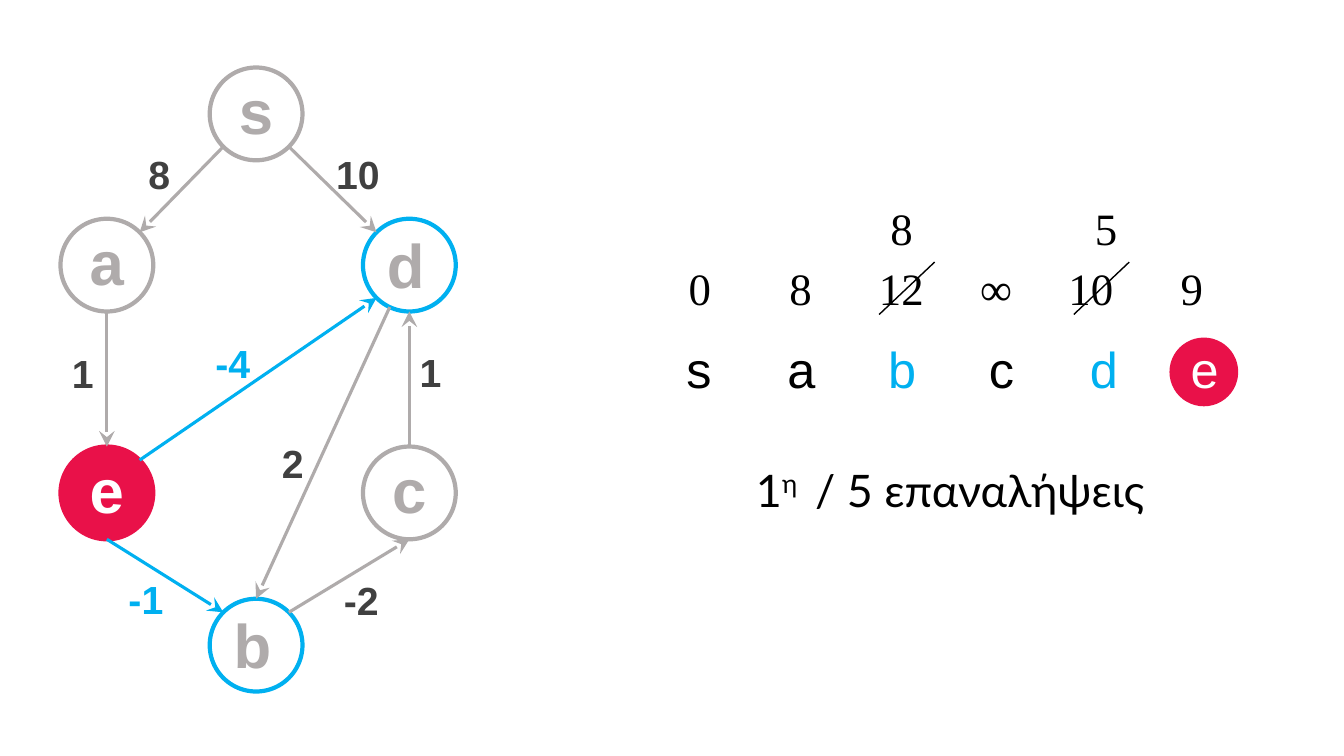
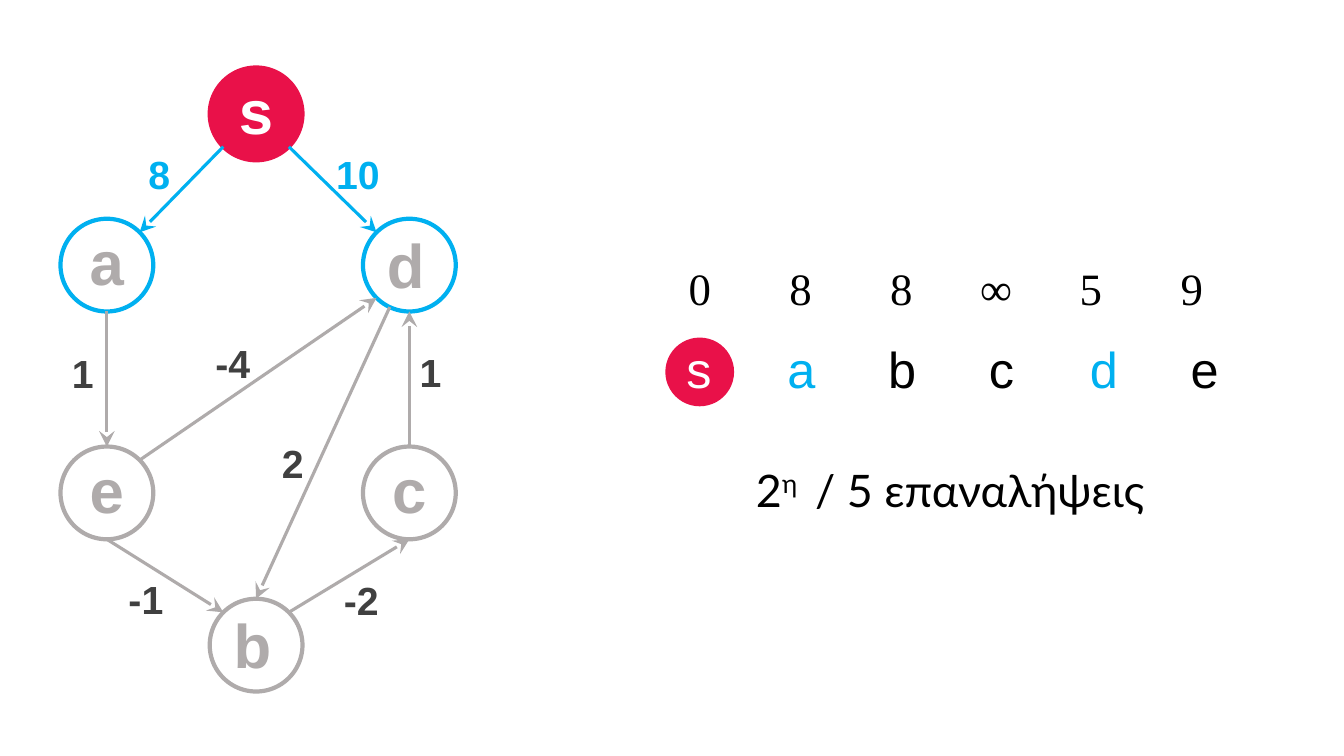
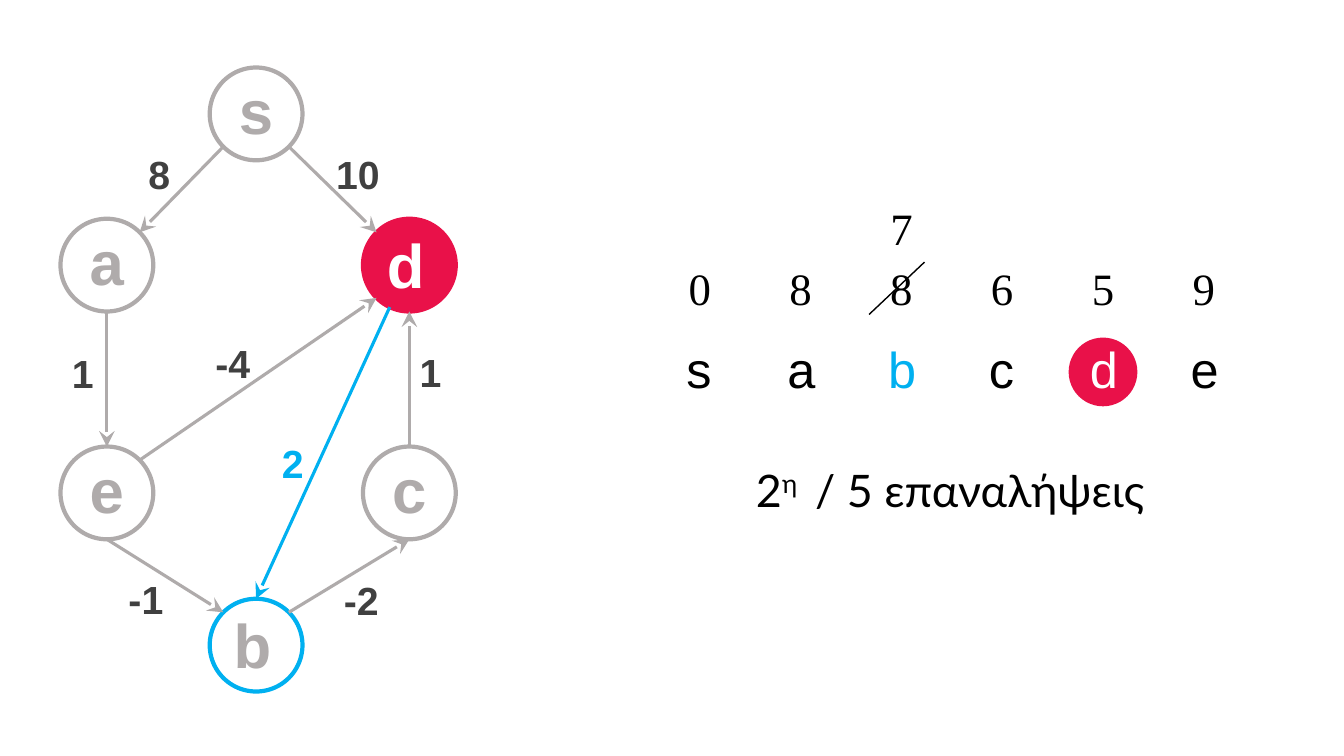
from math import cos, radians, sin

from lxml import etree
from pptx import Presentation
from pptx import util as u
from pptx.dml.color import RGBColor
from pptx.enum import shapes, text
from pptx.oxml.ns import qn

# Colours
GREY = RGBColor(0xAF, 0xAB, 0xAB)
DARK = RGBColor(0x40, 0x40, 0x40)
BLUE = RGBColor(0x00, 0xB0, 0xF0)
RED = RGBColor(0xE9, 0x11, 0x49)
BLACK = RGBColor(0, 0, 0)
WHITE = RGBColor(0xFF, 0xFF, 0xFF)

# Text formats
NODE_FONT = {"name": "Arial", "size": u.Pt(44), "bold": True}
WEIGHT_FONT = {"name": "Arial", "size": u.Pt(28), "bold": True}
VERTEX_FONT = {"name": "Arial", "size": u.Pt(36)}
DISTANCE_FONT = {"name": "Times New Roman", "size": u.Pt(32)}
CAPTION_FONT = {"name": "Lato", "size": u.Pt(32)}

# Graph grid: centres of columns and rows, in inches
COLS = (1.06, 2.54, 4.06)
ROWS = (1.13, 2.63, 4.89, 6.4)
RADIUS = 0.46
NODES = {"s": (1, 0), "a": (0, 1), "d": (2, 1),
         "e": (0, 2), "c": (2, 2), "b": (1, 3)}

# Edges: tail, its angle, head, its angle, weight, weight's offset from the middle
# Angles run clockwise from the right.
EDGES = [
    ("s", 135, "a", 315, "8", (-0.22, -0.15)),
    ("s", 45, "d", 225, "10", (0.25, -0.15)),
    ("a", 90, "e", 270, "1", (-0.24, -0.06)),
    ("e", 315, "d", 135, "-4", (-0.25, -0.16)),
    ("d", 115, "b", 270, "2", (-0.3, 0.1)),
    ("e", 90, "b", 225, "-1", (-0.19, 0.23)),
    ("b", 315, "c", 90, "-2", (0.12, 0.24)),
    ("c", 270, "d", 90, "1", (0.21, -0.07)),
]

# Distance table: one column per vertex
VERTICES = "sabcde"
TABLE_LEFT = 6.62
PITCH = 1.0
TOKEN = 0.64
HALF_DIGIT = 0.11
DIGIT_INSET = 0.21

# Steps: round, current vertex, distances, replaced values (value, left, strike left)
STEPS = [
    ("1", "e", ["0", "8", "12", "∞", "10", "9"],
     [("8", 8.62, 8.72), ("5", 10.65, 10.65)]),
    ("2", "s", ["0", "8", "8", "∞", "5", "9"], []),
    ("2", "d", ["0", "8", "8", "6", "5", "9"], [("7", 8.62, 8.62)]),
]


def add_text(slide, box, runs, style, align=text.PP_ALIGN.LEFT, inset=0.1):
    """Add a text box of (words, colour) runs and return its paragraph."""
    frame = slide.shapes.add_textbox(*map(u.Inches, box)).text_frame
    frame.word_wrap = True
    frame.margin_left = u.Inches(inset)
    paragraph = frame.paragraphs[0]
    paragraph.alignment = align
    for words, colour in runs:
        run = paragraph.add_run()
        run.text = words
        run.font.color.rgb = colour
        for key, value in style.items():
            setattr(run.font, key, value)
    return paragraph


def set_tabs(paragraph, positions, align):
    stops = etree.SubElement(paragraph._p.get_or_add_pPr(), qn("a:tabLst"))
    for position in positions:
        etree.SubElement(stops, qn("a:tab"), pos=str(u.Inches(position)),
                         algn=align)


def add_circle(slide, left, top, size, outline, fill=None):
    circle = slide.shapes.add_shape(
        shapes.MSO_SHAPE.OVAL, *map(u.Inches, (left, top, size, size)))
    circle.shadow.inherit = False
    circle.line.color.rgb = outline
    circle.line.width = u.Pt(3)
    if fill is None:
        circle.fill.background()
    else:
        circle.fill.solid()
        circle.fill.fore_color.rgb = fill


def add_line(slide, start, end, colour, width, arrow=False):
    line = slide.shapes.add_connector(
        shapes.MSO_CONNECTOR.STRAIGHT, *map(u.Inches, (*start, *end)))
    line.line.color.rgb = colour
    line.line.width = u.Pt(width)
    properties = line._element.spPr
    if arrow:
        outline = properties.find(qn("a:ln"))
        etree.SubElement(outline, qn("a:tailEnd"), type="stealth",
                         w="lg", len="lg")
    etree.SubElement(properties, qn("a:effectLst"))


def centre(name):
    col, row = NODES[name]
    return COLS[col], ROWS[row]


def port(name, angle):
    """Point on a node's rim."""
    x, y = centre(name)
    return x + RADIUS * cos(radians(angle)), y + RADIUS * sin(radians(angle))


def neighbours(current):
    return {head for tail, _, head, *_ in EDGES if tail == current}


def add_node(slide, name, current):
    x, y = centre(name)
    left, top = x - RADIUS, y - RADIUS
    active = name == current
    outline = RED if active else BLUE if name in neighbours(current) else GREY
    add_circle(slide, left, top, 2 * RADIUS, outline, RED if active else None)
    # Tall letters sit a little lower and further left
    dx, dy = (0.14, 0.03) if name in "bd" else (0.19, 0)
    add_text(slide, (left + dx, top + dy, 0.5, 0.83),
             [(name, WHITE if active else GREY)], NODE_FONT)


def add_edge(slide, edge, current):
    tail, tail_angle, head, head_angle, weight, (dx, dy) = edge
    active = tail == current
    start, end = port(tail, tail_angle), port(head, head_angle)
    add_line(slide, start, end, BLUE if active else GREY, 2.25, arrow=True)
    width, height = 0.7, 0.57
    x = (start[0] + end[0]) / 2 + dx
    y = (start[1] + end[1]) / 2 + dy
    add_text(slide, (x - width / 2, y - height / 2, width, height),
             [(weight, BLUE if active else DARK)], WEIGHT_FONT,
             text.PP_ALIGN.CENTER)


def add_distances(slide, distances):
    row = add_text(slide, (TABLE_LEFT, 2.54, 5.96, 0.63),
                   [("\t".join(distances), BLACK)], DISTANCE_FONT,
                   inset=DIGIT_INSET)
    # The columns close up around an infinity sign
    positions, drift = [], 0
    for column, distance in enumerate(distances):
        slip = 0.06 if distance == "∞" else 0
        drift += slip
        positions.append(column * PITCH + HALF_DIGIT - drift)
        drift += slip
    set_tabs(row, positions[1:], "ctr")


def add_replacement(slide, value, left, strike_left):
    add_line(slide, (strike_left + 0.55, 2.6), (strike_left, 3.12), BLACK, 1)
    add_text(slide, (left, 1.94, 0.81, 0.63), [(value, BLACK)],
             DISTANCE_FONT, inset=DIGIT_INSET)


def add_vertices(slide, current):
    column = VERTICES.index(current)
    add_circle(slide, TABLE_LEFT + column * PITCH, 3.37, TOKEN, RED, RED)
    colours = {name: BLUE for name in neighbours(current)}
    colours[current] = WHITE
    runs = [(name if name == VERTICES[-1] else name + "\t",
             colours.get(name, BLACK)) for name in VERTICES]
    row = add_text(slide, (6.71, 3.31, 5.62, 0.7), runs, VERTEX_FONT)
    set_tabs(row, [i * PITCH for i in range(1, len(VERTICES))], "l")


def add_caption(slide, number):
    words = (number, "η ", " / 5 επαναλήψεις")
    caption = add_text(slide, (7.4, 4.54, 4.1, 0.63),
                       [(part, BLACK) for part in words], CAPTION_FONT)
    caption.runs[1]._r.get_or_add_rPr().set("baseline", "30000")


def add_step(slide, number, current, distances, replacements):
    # Graph
    for name in NODES:
        add_node(slide, name, current)
    for edge in EDGES:
        add_edge(slide, edge, current)
    # Distance table
    for replacement in replacements:
        add_replacement(slide, *replacement)
    add_distances(slide, distances)
    add_vertices(slide, current)
    add_caption(slide, number)


def main():
    deck = Presentation()
    deck.slide_width, deck.slide_height = u.Inches(13.33), u.Inches(7.5)
    blank = deck.slide_layouts[6]
    for step in STEPS:
        add_step(deck.slides.add_slide(blank), *step)
    deck.save("out.pptx")


if __name__ == "__main__":
    main()
